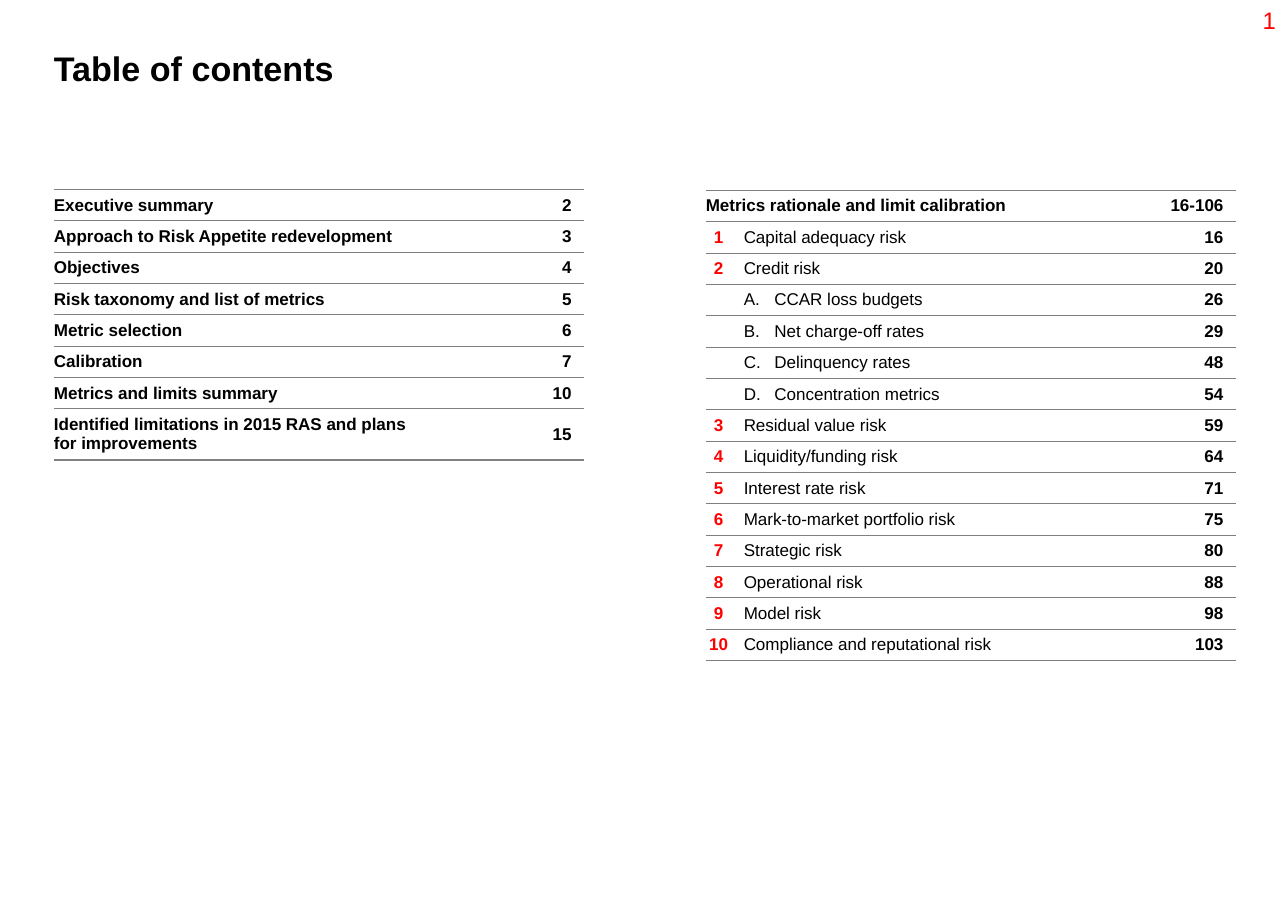
import copy

import pptx
import pptx.dml.color
import pptx.enum.text
import pptx.oxml
import pptx.oxml.ns
import pptx.util

WIDTH, HEIGHT = pptx.util.Inches(10.5), pptx.util.Inches(7.5)
COLORS = {"text": "000000", "accent": "FF0000", "rule": "808080"}
ALIGN = pptx.enum.text.PP_ALIGN
ANCHOR = pptx.enum.text.MSO_ANCHOR
NO_STYLE = "{2D5ABB26-0587-4C30-8999-92F81FD0307C}"

# Row heights in percent of the slide's height
ROW, TALL_ROW = 3.41, 5.55

SECTIONS = [
    ("Executive summary", "2"),
    ("Approach to Risk Appetite redevelopment", "3"),
    ("Objectives", "4"),
    ("Risk taxonomy and list of metrics", "5"),
    ("Metric selection", "6"),
    ("Calibration", "7"),
    ("Metrics and limits summary", "10"),
    ("Identified limitations in 2015 RAS and plans\vfor improvements", "15"),
]
METRICS = [
    ("Metrics rationale and limit calibration", "", "16-106"),
    ("1", "Capital adequacy risk", "16"),
    ("2", "Credit risk", "20"),
    ("", "CCAR loss budgets", "26"),
    ("", "Net charge-off rates", "29"),
    ("", "Delinquency rates", "48"),
    ("", "Concentration metrics", "54"),
    ("3", "Residual value risk", "59"),
    ("4", "Liquidity/funding risk", "64"),
    ("5", "Interest rate risk", "71"),
    ("6", "Mark-to-market portfolio risk", "75"),
    ("7", "Strategic risk", "80"),
    ("8", "Operational risk", "88"),
    ("9", "Model risk", "98"),
    ("10", "Compliance and reputational risk", "103"),
]

LABEL = {"size": 10, "bold": True, "color": "text", "align": ALIGN.LEFT}
PLAIN = {**LABEL, "bold": False}
NUMBER = {**LABEL, "color": "accent", "align": ALIGN.CENTER}
PAGE_REF = {**LABEL, "align": ALIGN.RIGHT}


def across(percent):
    return int(WIDTH * percent / 100)


def down(percent):
    return int(HEIGHT * percent / 100)


def set_all(target, values):
    for name, value in values.items():
        setattr(target, name, value)


def margins(left, top, right, bottom):
    sides = {"left": left, "top": top, "right": right, "bottom": bottom}
    return {f"margin_{side}": pptx.util.Inches(gap) for side, gap in sides.items()}


def write(para, text, style):
    para.alignment = style["align"]
    para.text = text
    if not text:
        # An empty cell keeps the small size, so its row stays low
        para._p.get_or_add_endParaRPr().set("sz", str(style["size"] * 100))
    for span in para.runs:
        set_all(span.font, {"name": "Arial", "size": pptx.util.Pt(style["size"]),
                            "bold": style["bold"]})
        span.font.color.rgb = pptx.dml.color.RGBColor.from_string(COLORS[style["color"]])
    for line_break in para._p.findall(pptx.oxml.ns.qn("a:br")):
        line_break.insert(0, copy.deepcopy(para.runs[0]._r.rPr))


def add_text(page, place, text, style, frame_format):
    left, top, width, height = place
    box = page.shapes.add_textbox(across(left), down(top), across(width), down(height))
    set_all(box.text_frame, frame_format)
    write(box.text_frame.paragraphs[0], text, style)
    return box.text_frame.paragraphs[0]


def add_rules(cell):
    properties = cell._tc.get_or_add_tcPr()
    for index, side in enumerate(("lnT", "lnB")):
        properties.insert(index, pptx.oxml.parse_xml(
            f'<a:{side} {pptx.oxml.ns.nsdecls("a")} w="9525"><a:solidFill>'
            f'<a:srgbClr val="{COLORS["rule"]}"/></a:solidFill></a:{side}>'))


def add_letter(para, start):
    properties = para._p.get_or_add_pPr()
    indent = pptx.util.Inches(0.25)
    properties.set("marL", str(indent))
    properties.set("indent", str(-indent))
    properties.append(pptx.oxml.parse_xml(
        f'<a:buAutoNum {pptx.oxml.ns.nsdecls("a")} type="alphaUcPeriod" startAt="{start}"/>'))


def add_contents(page, left, top, columns, heights, rows, styles):
    frame = page.shapes.add_table(len(rows), len(columns), across(left), down(top),
                                  across(sum(columns)), down(sum(heights)))
    table = frame.table
    set_all(table, {"first_row": False, "horz_banding": False})
    table._tbl.tblPr.find(pptx.oxml.ns.qn("a:tableStyleId")).text = NO_STYLE
    for column, width in zip(table.columns, columns):
        column.width = across(width)
    for line, height in zip(table.rows, heights):
        line.height = down(height)
    for row, texts in enumerate(rows):
        for col, text in enumerate(texts):
            cell = table.cell(row, col)
            inset = 0.1 if col == len(columns) - 1 else 0
            set_all(cell, {"vertical_anchor": ANCHOR.MIDDLE,
                           **margins(inset, 0.04, 0.1, 0.04)})
            cell.fill.background()
            add_rules(cell)
            write(cell.text_frame.paragraphs[0], text, styles[col])
    return table


def main():
    deck = pptx.Presentation()
    set_all(deck, {"slide_width": WIDTH, "slide_height": HEIGHT})
    page = deck.slides.add_slide(deck.slide_layouts[6])

    # Title and page number
    title = add_text(page, (4.19, 5.8, 91.6, 10.6), "Table of contents",
                     {**LABEL, "size": 20}, {"word_wrap": True, **margins(0, 0, 0, 0)})
    title.line_spacing = 0.86
    add_text(page, (95.8, 0, 4.2, 5.6), "1",
             {**PAGE_REF, "size": 14, "bold": False, "color": "accent"},
             {"word_wrap": False})

    # Main sections
    add_contents(page, 4.19, 20.6, [36.24, 4.9], [ROW] * 7 + [TALL_ROW],
                 SECTIONS, [LABEL, PAGE_REF])

    # Metrics by risk type
    metrics = add_contents(page, 54.8, 20.7, [2.95, 32, 6.19], [ROW] * len(METRICS),
                           METRICS, [NUMBER, PLAIN, PAGE_REF])
    heading = metrics.cell(0, 0)
    heading.merge(metrics.cell(0, 1))
    write(heading.text_frame.paragraphs[0], METRICS[0][0], LABEL)

    # Lettered lines under credit risk
    lettered = [row for row, texts in enumerate(METRICS) if not texts[0]]
    for start, row in enumerate(lettered, 1):
        add_letter(metrics.cell(row, 1).text_frame.paragraphs[0], start)

    deck.save("out.pptx")


if __name__ == "__main__":
    main()
